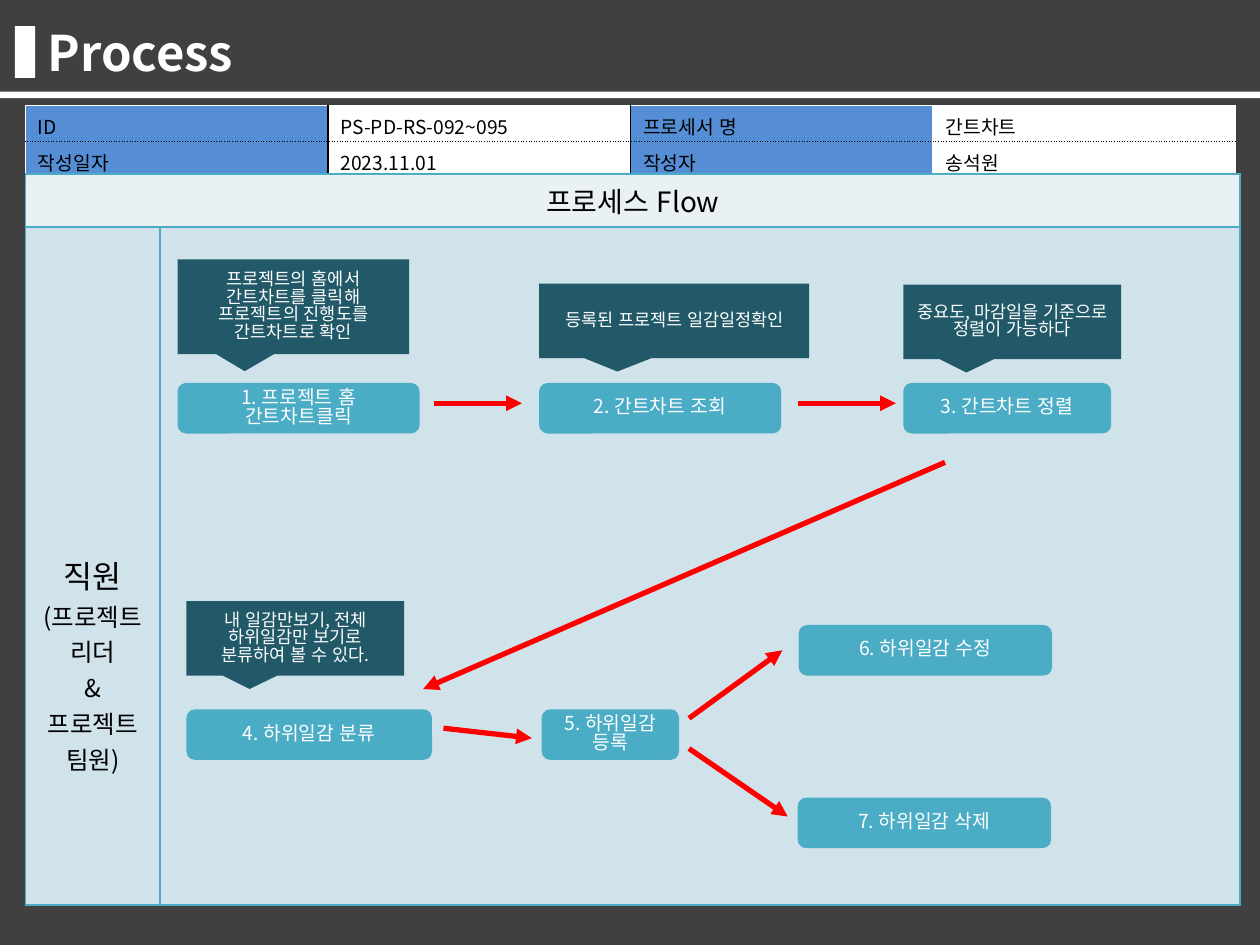
from dataclasses import dataclass

from lxml.etree import SubElement as Sub
from pptx import Presentation
from pptx.dml.color import RGBColor as Rgb
from pptx.enum.lang import MSO_LANGUAGE_ID as Lang
from pptx.enum.shapes import MSO_CONNECTOR as Line, MSO_SHAPE as Kind
from pptx.enum.text import MSO_ANCHOR as Anchor, PP_ALIGN as Align
from pptx.oxml.ns import qn
from pptx.util import Cm, Pt


@dataclass(frozen=True)
class Theme:
    font: str = "Noto Sans CJK KR"
    dark: str = "404040"
    white: str = "FFFFFF"
    black: str = "000000"
    label: str = "558ED5"
    teal: str = "4BACC6"
    deep: str = "215968"
    head: str = "E9F1F5"
    pale: str = "D0E3EA"
    red: str = "FF0000"
    title: int = 28
    role: int = 18
    flow: int = 16
    team: int = 14
    body: int = 11
    note: int = 10


T = Theme()

INFO = [
    ["ID", "PS-PD-RS-092~095", "프로세서 명", "간트차트"],
    ["작성일자", "2023.11.01", "작성자", "송석원"],
]
STEPS = [
    (["1. 프로젝트 홈", "간트차트클릭"], 3.58, 7.72, 4.88),
    (["2. 간트차트 조회"], 10.87, 7.72, 4.88),
    (["3. 간트차트 정렬"], 18.21, 7.72, 4.19),
    (["4. 하위일감 분류"], 3.76, 14.3, 4.95),
    (["5. 하위일감 등록"], 10.92, 14.3, 2.77),
    (["6. 하위일감 수정"], 16.1, 12.6, 5.11),
    (["7. 하위일감 삭제"], 16.08, 16.08, 5.11),
]
NOTES = [
    ("프로젝트의 홈에서 간트차트를 클릭해 프로젝트의 진행도를 간트차트로 확인",
     3.58, 5.23, 4.67, 1.91),
    ("등록된 프로젝트 일감일정확인", 10.87, 5.72, 5.44, 1.5),
    ("중요도, 마감일을 기준으로 정렬이 가능하다", 18.21, 5.74, 4.39, 1.5),
    ("내 일감만보기, 전체 하위일감만 보기로 분류하여 볼 수 있다.",
     3.76, 12.12, 4.39, 1.5),
]
ARROWS = [
    (8.74, 8.13, 10.52, 8.13),
    (16.08, 8.13, 18.06, 8.13),
    (19.05, 9.32, 8.53, 13.89),
    (8.94, 14.68, 10.72, 14.88),
    (13.89, 14.48, 15.77, 13.11),
    (13.89, 15.09, 15.88, 16.46),
]


def write(frame, lines, size, color=T.black, bold=False, align=Align.LEFT,
          gap=None, sizes=None):
    frame.word_wrap = True
    for i, line in enumerate(lines):
        para = frame.add_paragraph() if i else frame.paragraphs[0]
        para.alignment = align
        para.line_spacing = gap
        run = para.add_run()
        run.text = line
        font = run.font
        font.name = T.font
        font.size = Pt(sizes[i] if sizes else size)
        font.bold = bold
        font.color.rgb = Rgb.from_string(color)
        font.language_id = Lang.KOREAN
        Sub(font._element, qn("a:ea"), typeface=T.font)


def block(slide, kind, x, y, w, h, fill):
    shape = slide.shapes.add_shape(kind, Cm(x), Cm(y), Cm(w), Cm(h))
    shape.shadow.inherit = False
    shape.fill.solid()
    shape.fill.fore_color.rgb = Rgb.from_string(fill)
    shape.line.fill.background()
    return shape


def label(shape, lines, size):
    shape.text_frame.vertical_anchor = Anchor.MIDDLE
    write(shape.text_frame, lines, size, color=T.white,
          align=Align.CENTER, gap=0.83)


def step(slide, lines, x, y, w):
    label(block(slide, Kind.ROUNDED_RECTANGLE, x, y, w, 1.02, T.teal),
          lines, T.body)


def note(slide, text, x, y, w, h):
    shape = block(slide, Kind.RECTANGULAR_CALLOUT, x, y, w, h, T.deep)
    shape.adjustments[0] = -0.21
    shape.adjustments[1] = 0.68
    label(shape, [text], T.note)


def arrow(slide, x1, y1, x2, y2):
    link = slide.shapes.add_connector(
        Line.STRAIGHT, Cm(x1), Cm(y1), Cm(x2), Cm(y2))
    link.line.color.rgb = Rgb.from_string(T.red)
    link.line.width = Pt(3)
    Sub(link.line._get_or_add_ln(), qn("a:tailEnd"), type="triangle")
    Sub(link._element.spPr, qn("a:effectLst"))


def paint(cell, fill, **edges):
    props = cell._tc.get_or_add_tcPr()
    for side in "LRTB":
        color, dash = edges[side]
        line = Sub(props, qn("a:ln" + side), w=str(Pt(1)))
        Sub(Sub(line, qn("a:solidFill")), qn("a:srgbClr"), val=color)
        Sub(line, qn("a:prstDash"), val=dash)
    cell.fill.solid()
    cell.fill.fore_color.rgb = Rgb.from_string(fill)


def grid(slide, x, y, cols, rows):
    table = slide.shapes.add_table(
        len(rows), len(cols), Cm(x), Cm(y), Cm(sum(cols)), Cm(sum(rows))).table
    table.first_row = table.horz_banding = False
    for col, w in zip(table.columns, cols):
        col.width = Cm(w)
    for row, h in zip(table.rows, rows):
        row.height = Cm(h)
    return table


def info(slide):
    table = grid(slide, 0.51, 2.13, [6.1] * 4, [0.72] * 2)
    white, black = (T.white, "solid"), (T.black, "solid")
    across = [white, (T.black, "sysDot"), black]
    down = [white, black, black, white, white]
    for r, row in enumerate(INFO):
        for c, text in enumerate(row):
            cell = table.cell(r, c)
            cell.margin_top, cell.margin_bottom = Cm(0.13), 0
            paint(cell, T.white if c % 2 else T.label, L=down[c],
                  R=down[c + 1], T=across[r], B=across[r + 1])
            write(cell.text_frame, [text], T.body)


def flow(slide):
    table = grid(slide, 0.51, 3.51, [2.72, 21.77], [1.04, 13.67])
    for r, fill in enumerate([T.head, T.pale]):
        for c in range(2):
            paint(table.cell(r, c), fill,
                  **dict.fromkeys("LRTB", (T.teal, "solid")))
    head, side = table.cell(0, 0), table.cell(1, 0)
    head.merge(table.cell(0, 1))
    write(head.text_frame, ["프로세스 Flow"], T.flow, align=Align.CENTER)
    side.margin_top = Cm(6.55)
    write(side.text_frame, ["직원", "(프로젝트리더", "&", "프로젝트 팀원)"],
          T.team, align=Align.CENTER, sizes=[T.role] + [T.team] * 3)


def head(slide):
    back = block(slide, Kind.RECTANGLE, 0, 0, 25.4, 19.05, T.dark)
    slide.shapes._spTree.insert(2, back._element)
    title = slide.shapes.title
    title.left, title.top = Cm(0.71), Cm(0.33)
    title.width, title.height = Cm(22.81), Cm(1.45)
    frame = title.text_frame
    frame.margin_top = frame.margin_bottom = 0
    frame.vertical_anchor = Anchor.MIDDLE
    write(frame, ["Process"], T.title, color=T.white, bold=True)
    block(slide, Kind.RECTANGLE, 0.3, 0.53, 0.41, 1.04, T.white)
    block(slide, Kind.RECTANGLE, 0, 1.85, 25.4, 0.13, T.white)


def main():
    deck = Presentation()
    deck.slide_width, deck.slide_height = Cm(25.4), Cm(19.05)
    slide = deck.slides.add_slide(deck.slide_layouts[5])
    head(slide)
    info(slide)
    flow(slide)
    for draw, items in ((step, STEPS), (note, NOTES), (arrow, ARROWS)):
        for item in items:
            draw(slide, *item)
    deck.save("out.pptx")


if __name__ == "__main__":
    main()
